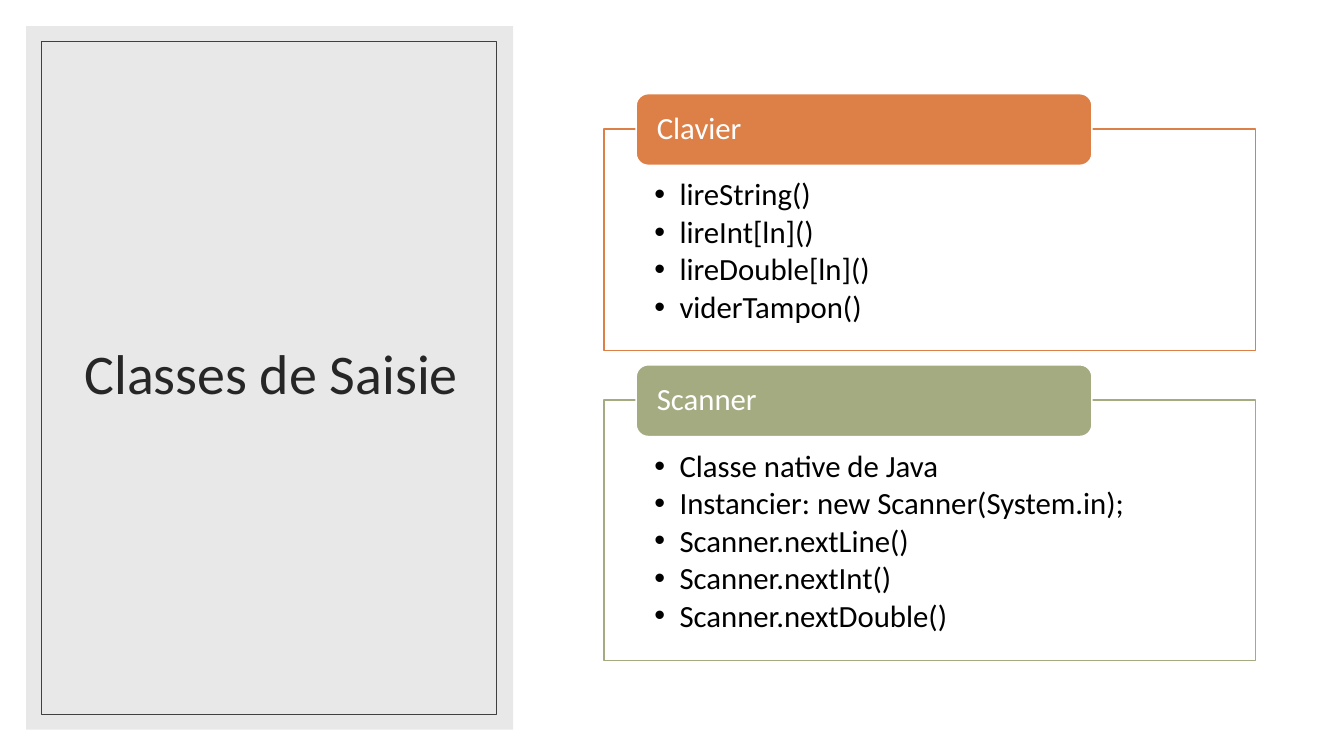
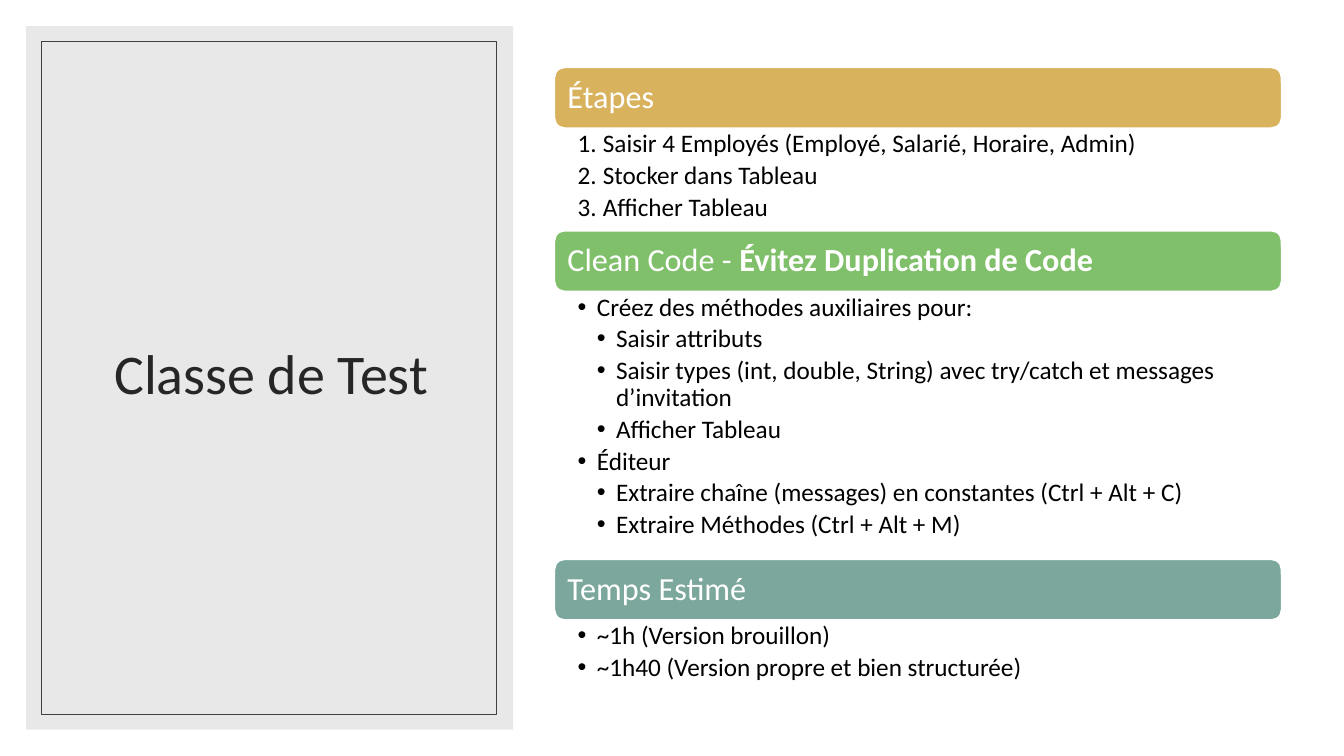
"""Build two slides on Java input classes and the test class."""
from dataclasses import dataclass

from lxml import etree
from pptx import Presentation
from pptx.dml.color import RGBColor
from pptx.enum.shapes import MSO_SHAPE
from pptx.enum.text import MSO_ANCHOR, PP_ALIGN
from pptx.oxml.ns import qn
from pptx.util import Emu, Pt

RECT, ROUNDED = MSO_SHAPE.RECTANGLE, MSO_SHAPE.ROUNDED_RECTANGLE
TOP, MIDDLE = MSO_ANCHOR.TOP, MSO_ANCHOR.MIDDLE
LEFT, CENTER = PP_ALIGN.LEFT, PP_ALIGN.CENTER
EMU_PER_PX = 9144
TITLE_ONLY = 5


@dataclass(frozen=True)
class Theme:
    """Colours, font and type sizes of the deck."""
    font: str = "Calibri"
    white: str = "FFFFFF"
    ink: str = "000000"
    title_ink: str = "262626"
    panel: str = "E8E8E8"
    frame: str = "404040"
    orange: str = "DD8047"
    olive: str = "A5AB81"
    gold: str = "D8B25C"
    green: str = "81C06B"
    teal: str = "7BA79D"
    title_size: int = 40
    card_size: int = 22
    heading_size: int = 23
    list_size: int = 18


THEME = Theme()


@dataclass(frozen=True)
class Box:
    """A rectangle in px, at 100 px to the inch."""
    left: int
    top: int
    width: int
    height: int


@dataclass(frozen=True)
class Line:
    """One paragraph, with an optional bold ending."""
    text: str
    level: int = 1
    bold_text: str = ""


@dataclass(frozen=True)
class Section:
    """A coloured heading and the list below it."""
    heading: Line
    colour: str
    height: int
    lines: tuple[Line, ...]
    numbered: bool = False


INPUT_CLASSES = (
    Section(Line("Clavier"), THEME.orange, 220, (
        Line("lireString()"), Line("lireInt[ln]()"),
        Line("lireDouble[ln]()"), Line("viderTampon()"))),
    Section(Line("Scanner"), THEME.olive, 258, (
        Line("Classe native de Java"),
        Line("Instancier: new Scanner(System.in);"),
        Line("Scanner.nextLine()"), Line("Scanner.nextInt()"),
        Line("Scanner.nextDouble()"))),
)
TEST_CLASS = (
    Section(Line("Étapes"), THEME.gold, 102, (
        Line("Saisir 4 Employés (Employé, Salarié, Horaire, Admin)"),
        Line("Stocker dans Tableau"), Line("Afficher Tableau")), numbered=True),
    Section(Line("Clean Code - ", bold_text="Évitez Duplication de Code"), THEME.green, 266, (
        Line("Créez des méthodes auxiliaires pour:"),
        Line("Saisir attributs", 2),
        Line("Saisir types (int, double, String) avec try/catch et messages d’invitation", 2),
        Line("Afficher Tableau", 2),
        Line("Éditeur"),
        Line("Extraire chaîne (messages) en constantes (Ctrl + Alt + C)", 2),
        Line("Extraire Méthodes (Ctrl + Alt + M)", 2))),
    Section(Line("Temps Estimé"), THEME.teal, 68, (
        Line("~1h (Version brouillon)"),
        Line("~1h40 (Version propre et bien structurée)"))),
)


def px(length: int) -> Emu:
    """Turn px into EMU."""
    return Emu(length * EMU_PER_PX)


def rgb(colour: str) -> RGBColor:
    """Turn a hex colour into an RGBColor."""
    return RGBColor.from_string(colour)


def add_bullet(paragraph, level: int, indent: int, numbered: bool) -> None:
    """Give a paragraph a hanging bullet or number."""
    paragraph.level = level
    properties = paragraph._p.get_or_add_pPr()
    properties.set("marL", str(px(indent * level)))
    properties.set("indent", str(px(-indent)))
    if numbered:
        etree.SubElement(properties, qn("a:buAutoNum"), type="arabicPeriod")
    else:
        etree.SubElement(properties, qn("a:buFont"), typeface="Arial")
        etree.SubElement(properties, qn("a:buChar"), char="•")


def write_text(shape, lines: tuple[Line, ...], *, size: int, colour: str,
               insets: tuple[int, int, int, int] = (10, 5, 10, 5), anchor=MIDDLE,
               align=LEFT, indent: int = 0, numbered: bool = False,
               space_after: float = 0) -> None:
    """Fill a shape with formatted paragraphs."""
    frame = shape.text_frame
    frame.word_wrap = True
    frame.vertical_anchor = anchor
    (frame.margin_left, frame.margin_top,
     frame.margin_right, frame.margin_bottom) = map(px, insets)
    for index, line in enumerate(lines):
        paragraph = frame.add_paragraph() if index else frame.paragraphs[0]
        paragraph.alignment = align
        paragraph.line_spacing = 0.9
        paragraph.space_before = Pt(0)
        paragraph.space_after = Pt(space_after)
        if indent:
            add_bullet(paragraph, line.level, indent, numbered)
        for text, bold in ((line.text, False), (line.bold_text, True)):
            if text:
                run = paragraph.add_run()
                run.text = text
                run.font.name = THEME.font
                run.font.size = Pt(size)
                run.font.bold = bold
                run.font.color.rgb = rgb(colour)


def place(shape, box: Box) -> None:
    """Move and size a shape."""
    shape.left, shape.top = px(box.left), px(box.top)
    shape.width, shape.height = px(box.width), px(box.height)


def draw_box(slide, box: Box, *, kind=RECT, fill: str = "", line: str = "",
             line_width: float = 1):
    """Draw a flat preset shape."""
    shape = slide.shapes.add_shape(kind, 0, 0, 0, 0)
    place(shape, box)
    shape.shadow.inherit = False
    if fill:
        shape.fill.solid()
        shape.fill.fore_color.rgb = rgb(fill)
    else:
        shape.fill.background()
    if line:
        shape.line.color.rgb = rgb(line)
        shape.line.width = Pt(line_width)
    else:
        shape.line.fill.background()
    return shape


def draw_heading(slide, section: Section, box: Box, *, size: int,
                 insets: tuple[int, int, int, int]) -> None:
    """Draw a rounded coloured heading."""
    heading = draw_box(slide, box, kind=ROUNDED, fill=section.colour, line=THEME.white)
    write_text(heading, (section.heading,), size=size, colour=THEME.white, insets=insets)


def add_titled_slide(deck, title: str):
    """Add a slide with the grey title panel on the left."""
    slide = deck.slides.add_slide(deck.slide_layouts[TITLE_ONLY])
    draw_box(slide, Box(26, 26, 483, 698), fill=THEME.panel)
    draw_box(slide, Box(41, 41, 451, 668), line=THEME.frame, line_width=0.5)
    heading = slide.shapes.title
    place(heading, Box(63, 61, 412, 624))
    write_text(heading, (Line(title),), size=THEME.title_size,
               colour=THEME.title_ink, align=CENTER)
    heading.element.getparent().append(heading.element)
    return slide


def draw_cards(slide, sections: tuple[Section, ...]) -> None:
    """Stack outlined cards whose headings overlap the top edge."""
    top, gap = 128, 49
    for section in sections:
        card = draw_box(slide, Box(599, top, 646, section.height),
                        fill=THEME.white, line=section.colour)
        write_text(card, section.lines, size=THEME.card_size, colour=THEME.ink,
                   insets=(50, 50, 50, 17), anchor=TOP, indent=25, space_after=3)
        draw_heading(slide, section, Box(631, top - 35, 452, 71),
                     size=THEME.card_size, insets=(17, 0, 17, 0))
        top += section.height + gap


def draw_stack(slide, sections: tuple[Section, ...]) -> None:
    """Stack full-width headings, each followed by its list."""
    left, top, width, heading_height = 550, 67, 721, 60
    for section in sections:
        draw_heading(slide, section, Box(left, top, width, heading_height),
                     size=THEME.heading_size, insets=(10, 10, 10, 10))
        top += heading_height
        details = slide.shapes.add_textbox(0, 0, 0, 0)
        place(details, Box(left, top, width, section.height))
        write_text(details, section.lines, size=THEME.list_size, colour=THEME.ink,
                   insets=(23, 3, 18, 3), anchor=TOP, numbered=section.numbered,
                   indent=25 if section.numbered else 19, space_after=3.2)
        top += section.height


def main() -> None:
    """Build and save the deck."""
    deck = Presentation()
    deck.slide_width, deck.slide_height = px(1333), px(750)
    draw_cards(add_titled_slide(deck, "Classes de Saisie"), INPUT_CLASSES)
    draw_stack(add_titled_slide(deck, "Classe de Test"), TEST_CLASS)
    deck.save("out.pptx")


if __name__ == "__main__":
    main()
